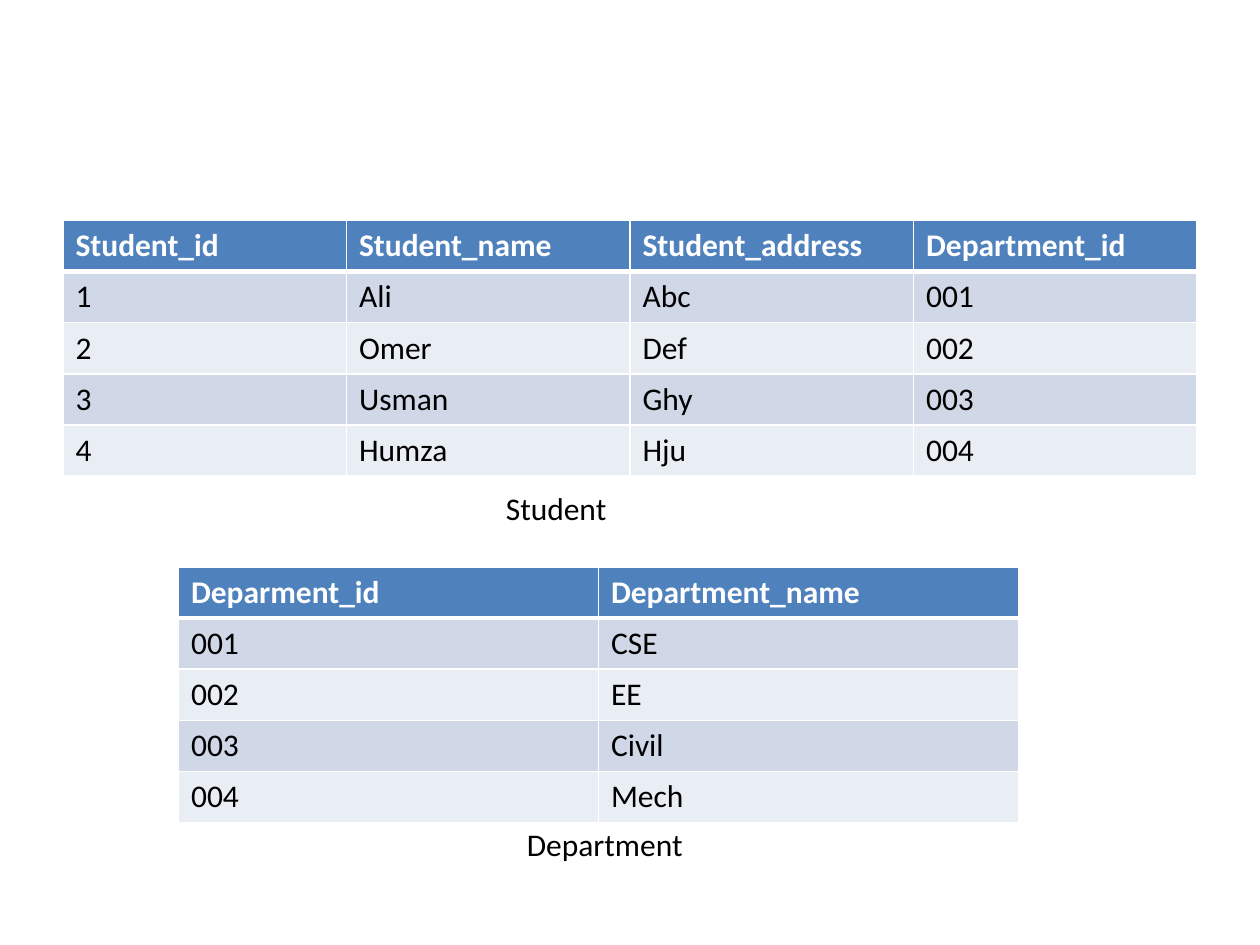
from dataclasses import dataclass

from lxml import etree
from pptx import Presentation
from pptx import util as u
from pptx.dml.color import RGBColor
from pptx.enum import text
from pptx.oxml import ns

Pt = u.Pt


@dataclass(frozen=True)
class Theme:
    font: str = "Calibri"
    size: int = 18
    header: str = "4F81BD"
    bands: tuple = ("D0D8E8", "E9EDF4")
    light: str = "FFFFFF"
    dark: str = "000000"
    rule: int = 1
    header_rule: int = 3


THEME = Theme()

STUDENTS = [
    ["Student_id", "Student_name", "Student_address", "Department_id"],
    ["1", "Ali", "Abc", "001"],
    ["2", "Omer", "Def", "002"],
    ["3", "Usman", "Ghy", "003"],
    ["4", "Humza", "Hju", "004"],
]
DEPARTMENTS = [
    ["Deparment_id", "Department_name"],
    ["001", "CSE"],
    ["002", "EE"],
    ["003", "Civil"],
    ["004", "Mech"],
]


def write(tf, content, color, bold=False):
    p = tf.paragraphs[0]
    r = p.add_run()
    r.text = content
    formats = {"name": THEME.font, "size": Pt(THEME.size), "bold": bold}
    for name, value in formats.items():
        setattr(r.font, name, value)
    r.font.color.rgb = RGBColor.from_string(color)


def set_borders(cell, widths):
    tc_pr = cell._tc.get_or_add_tcPr()
    for i, (side, width) in enumerate(widths.items()):
        ln = etree.Element(ns.qn(f"a:ln{side}"), w=str(Pt(width)))
        fill = etree.SubElement(ln, ns.qn("a:solidFill"))
        etree.SubElement(fill, ns.qn("a:srgbClr"), val=THEME.light)
        tc_pr.insert(i, ln)


def add_grid(s, rows, left, top, width, row_height):
    frame = s.shapes.add_table(len(rows), len(rows[0]), Pt(left), Pt(top),
                               Pt(width), Pt(row_height * len(rows)))
    for i, row in enumerate(rows):
        header = i == 0
        fill = THEME.header if header else THEME.bands[(i - 1) % 2]
        borders = {"L": THEME.rule, "R": THEME.rule}
        if header:
            borders["T"] = THEME.rule
        borders["B"] = THEME.header_rule if header else THEME.rule
        for j, content in enumerate(row):
            cell = frame.table.cell(i, j)
            write(cell.text_frame, content,
                  THEME.light if header else THEME.dark, header)
            cell.fill.solid()
            cell.fill.fore_color.rgb = RGBColor.from_string(fill)
            set_borders(cell, borders)


def add_caption(s, content, left, top, width):
    sp = s.shapes.add_textbox(Pt(left), Pt(top), Pt(width), Pt(29))
    tf = sp.text_frame
    formats = {"word_wrap": True,
               "auto_size": text.MSO_AUTO_SIZE.SHAPE_TO_FIT_TEXT}
    for name, value in formats.items():
        setattr(tf, name, value)
    write(tf, content, THEME.dark)


def main():
    prs = Presentation()
    prs.slide_width, prs.slide_height = Pt(720), Pt(540)
    s = prs.slides.add_slide(prs.slide_layouts[6])
    add_grid(s, STUDENTS, 36, 126, 648, 29.2)
    add_grid(s, DEPARTMENTS, 102, 324, 480, 29.2)
    add_caption(s, "Student", 282, 276, 114)
    add_caption(s, "Department", 294, 468, 150)
    prs.save("out.pptx")


if __name__ == "__main__":
    main()
